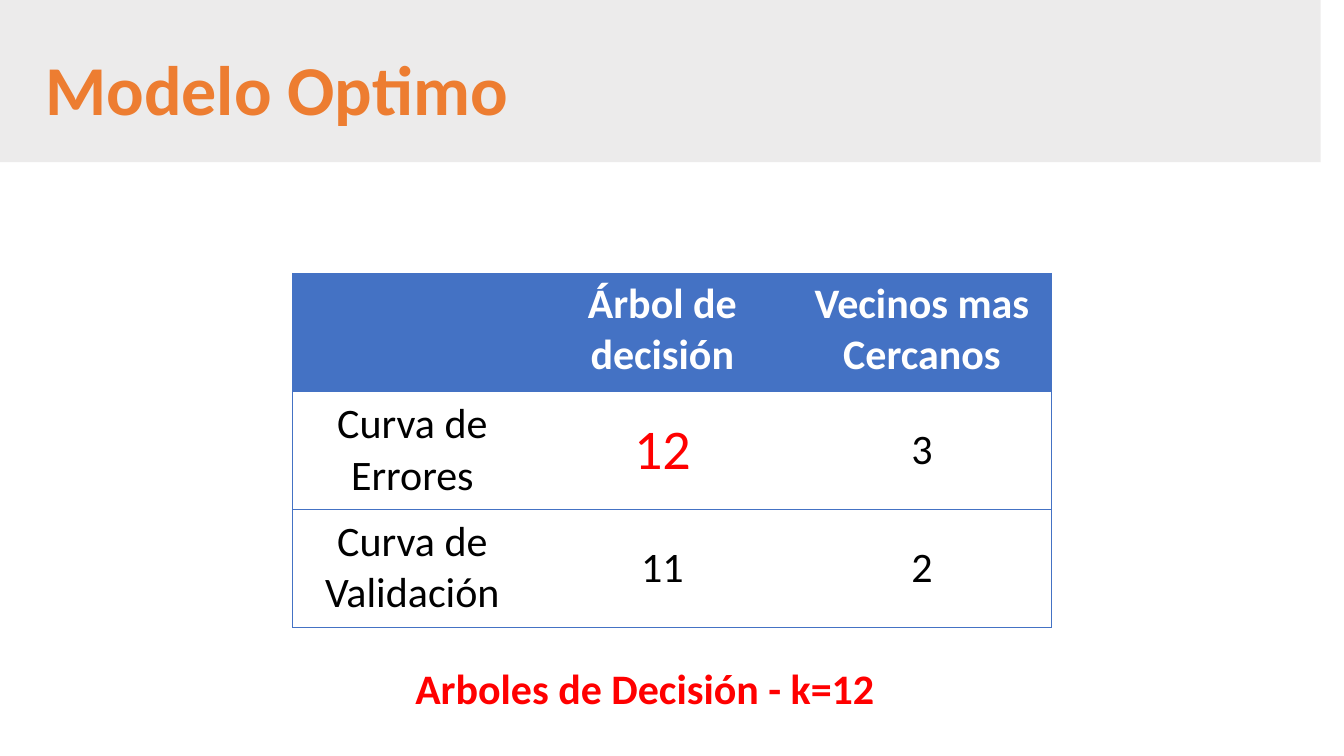
from lxml.etree import SubElement
from pptx import Presentation
from pptx.dml.color import RGBColor
from pptx.enum.shapes import MSO_SHAPE
from pptx.enum.text import MSO_ANCHOR, MSO_AUTO_SIZE, PP_ALIGN
from pptx.oxml.ns import qn
from pptx.util import Inches, Pt

COLORS = {
    "band": "E7E6E6",
    "title": "ED7D31",
    "table": "4472C4",
    "header": "FFFFFF",
    "body": "000000",
    "best": "FF0000",
}
RESULTS = [
    ["", "Árbol de decisión", "Vecinos mas Cercanos"],
    ["Curva de Errores", "12", "3"],
    ["Curva de Validación", "11", "2"],
]
BEST_CELL = (1, 1)
COLUMN_WIDTHS = [2.38, 2.58, 2.57]
ROW_HEIGHT = 1.17


def rgb(name):
    return RGBColor.from_string(COLORS[name])


def place(shape, left, top, width, height):
    box = {"left": left, "top": top, "width": width, "height": height}
    for side, length in box.items():
        setattr(shape, side, Inches(length))


def write(frame, text, color, size, bold=False, align=PP_ALIGN.LEFT):
    frame.text = text
    paragraph = frame.paragraphs[0]
    paragraph.alignment = align
    font_format = {"name": "Calibri", "size": Pt(size), "bold": bold}
    for attribute, value in font_format.items():
        setattr(paragraph.font, attribute, value)
        for run in paragraph.runs:
            setattr(run.font, attribute, value)
    for run in paragraph.runs:
        run.font.color.rgb = rgb(color)
    return paragraph


def add_band(slide):
    band = slide.shapes.add_shape(
        MSO_SHAPE.RECTANGLE, Inches(-0.23), 0, Inches(13.33), Inches(1.61))
    band.shadow.inherit = False
    band.line.fill.background()
    band.fill.solid()
    band.fill.fore_color.rgb = rgb("band")
    band_color = band.fill._xPr.find(qn("a:solidFill"))[0]
    SubElement(band_color, qn("a:alpha"), val="76000")
    slide.shapes._spTree.insert(2, band._element)


def add_title(slide, text):
    title = slide.shapes.title
    place(title, 0.35, 0, 12.17, 1.35)
    frame = title.text_frame
    frame.auto_size = MSO_AUTO_SIZE.NONE
    frame.vertical_anchor = MSO_ANCHOR.BOTTOM
    write(frame, text, "title", 50, bold=True).line_spacing = 0.9


def set_borders(cell, visible_edges):
    """Draw the given edges (letters among L, R, T, B) and hide the others."""
    properties = cell._tc.get_or_add_tcPr()
    for edge in "LRTB":
        line = SubElement(properties, qn(f"a:ln{edge}"), w=str(Pt(0.5)))
        if edge in visible_edges:
            fill = SubElement(line, qn("a:solidFill"))
            SubElement(fill, qn("a:srgbClr"), val=COLORS["table"])
        else:
            SubElement(line, qn("a:noFill"))


def format_cell(cell, row, column, text):
    is_header = row == 0
    is_best = (row, column) == BEST_CELL
    color = "header" if is_header else "best" if is_best else "body"
    write(cell.text_frame, text, color, 40 if is_best else 30,
          bold=is_header, align=PP_ALIGN.CENTER)
    cell.vertical_anchor = MSO_ANCHOR.TOP if is_header else MSO_ANCHOR.MIDDLE
    left_edge = "L" if column == 0 else ""
    right_edge = "R" if column == len(COLUMN_WIDTHS) - 1 else ""
    set_borders(cell, "TB" + left_edge + right_edge)
    if is_header:
        cell.fill.solid()
        cell.fill.fore_color.rgb = rgb("table")
    else:
        cell.fill.background()


def add_results(slide):
    table = slide.shapes.add_table(
        len(RESULTS), len(COLUMN_WIDTHS), Inches(2.95), Inches(2.71),
        Inches(sum(COLUMN_WIDTHS)), Inches(ROW_HEIGHT * len(RESULTS))).table
    table.horz_banding = False
    for column, width in zip(table.columns, COLUMN_WIDTHS):
        column.width = Inches(width)
    for row, texts in enumerate(RESULTS):
        table.rows[row].height = Inches(ROW_HEIGHT)
        for column, text in enumerate(texts):
            format_cell(table.cell(row, column), row, column, text)
    slide.shapes[-1].left = Inches(2.9)


def add_conclusion(slide, text):
    conclusion = slide.shapes.add_textbox(
        Inches(4.02), Inches(6.52), Inches(4.81), Inches(0.61))
    frame = conclusion.text_frame
    frame.word_wrap = False
    frame.auto_size = MSO_AUTO_SIZE.SHAPE_TO_FIT_TEXT
    write(frame, text, "best", 30, bold=True)


def main():
    presentation = Presentation()
    presentation.slide_width = Inches(13.33)
    presentation.slide_height = Inches(7.5)
    slide = presentation.slides.add_slide(presentation.slide_layouts[5])
    add_band(slide)
    add_title(slide, "Modelo Optimo")
    add_results(slide)
    add_conclusion(slide, "Arboles de Decisión - k=12")
    presentation.save("out.pptx")


if __name__ == "__main__":
    main()
